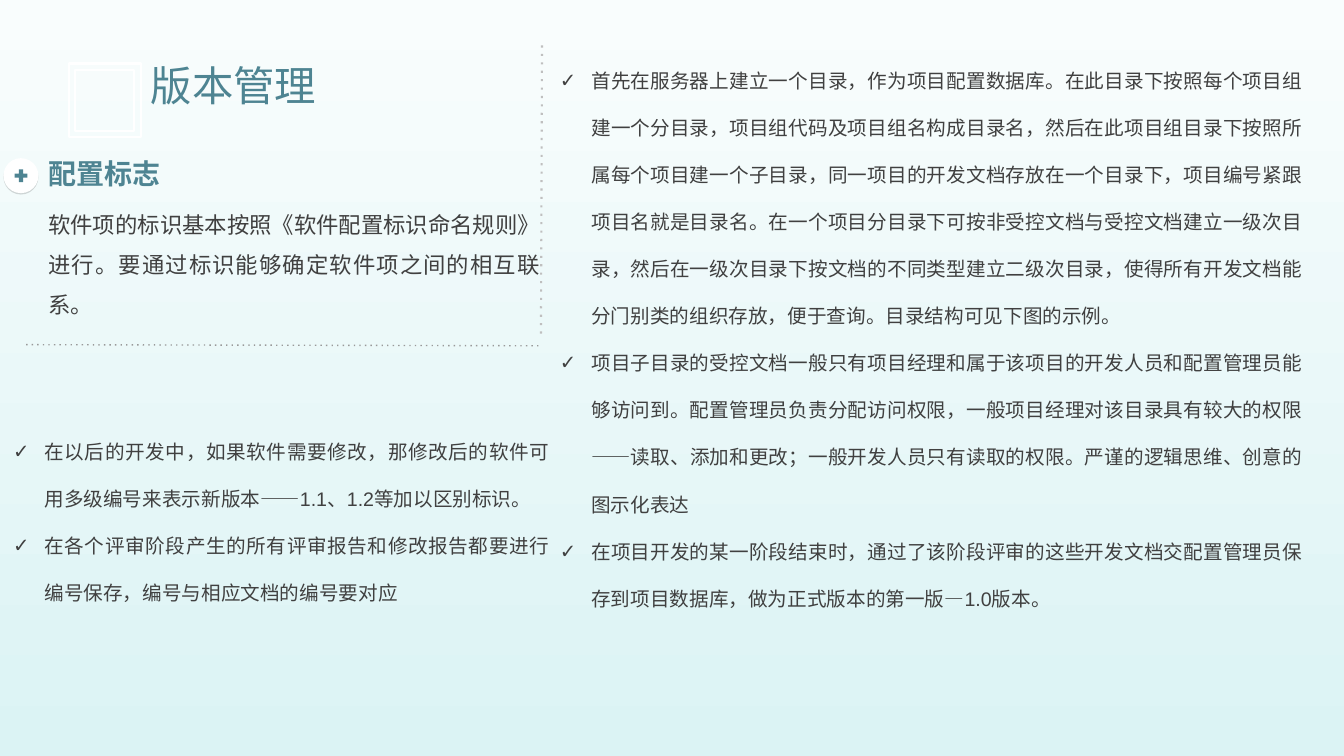
import pptx
import pptx.util
import pptx.dml.color
import pptx.enum.dml
import pptx.enum.shapes
import pptx.enum.text
import pptx.oxml
import pptx.oxml.ns

Pt = pptx.util.Pt
qn = pptx.oxml.ns.qn
SHAPE = pptx.enum.shapes.MSO_SHAPE
ALIGN = pptx.enum.text.PP_ALIGN
AUTO = pptx.enum.text.MSO_AUTO_SIZE

COLORS = {
    "sky_top": "F9FDFD",
    "sky_bottom": "DBF3F4",
    "teal": "4E8492",
    "text": "404040",
    "white": "FFFFFF",
    "rule": "999999",
    "divider": "BFBFBF",
    "shadow": "000000",
}
LATIN = "Arial"
CJK = "Noto Sans CJK SC"

STORAGE_RULES = [
    "首先在服务器上建立一个目录，作为项目配置数据库。在此目录下按照每个项目组建一个分目录，项目组代码及项目组名构成目录名，然后在此项目组目录下按照所属每个项目建一个子目录，同一项目的开发文档存放在一个目录下，项目编号紧跟项目名就是目录名。在一个项目分目录下可按非受控文档与受控文档建立一级次目录，然后在一级次目录下按文档的不同类型建立二级次目录，使得所有开发文档能分门别类的组织存放，便于查询。目录结构可见下图的示例。",
    "项目子目录的受控文档一般只有项目经理和属于该项目的开发人员和配置管理员能够访问到。配置管理员负责分配访问权限，一般项目经理对该目录具有较大的权限——读取、添加和更改；一般开发人员只有读取的权限。严谨的逻辑思维、创意的图示化表达",
    "在项目开发的某一阶段结束时，通过了该阶段评审的这些开发文档交配置管理员保存到项目数据库，做为正式版本的第一版—1.0版本。",
]
NUMBERING_RULES = [
    "在以后的开发中，如果软件需要修改，那修改后的软件可用多级编号来表示新版本——1.1、1.2等加以区别标识。",
    "在各个评审阶段产生的所有评审报告和修改报告都要进行编号保存，编号与相应文档的编号要对应",
]
IDENTIFICATION = "软件项的标识基本按照《软件配置标识命名规则》进行。要通过标识能够确定软件项之间的相互联系。"


class SlideBuilder:
    def __init__(self, prs):
        self.s = prs.slides.add_slide(prs.slide_layouts[5])

    def rgb(self, color):
        return pptx.dml.color.RGBColor.from_string(COLORS[color])

    def background(self, top, bottom):
        fill = self.s.background.fill
        fill.gradient()
        fill.gradient_angle = 270
        for stop, color, position in zip(fill.gradient_stops, (top, bottom), (0, 1)):
            stop.color.rgb = self.rgb(color)
            stop.position = position

    def run(self, p, text, size, color, bold=False, font=LATIN):
        r = p.add_run()
        r.text = text
        r.font.size = Pt(size)
        r.font.bold = bold
        r.font.name = font
        r.font.color.rgb = self.rgb(color)
        ea = pptx.oxml.parse_xml(
            f'<a:ea {pptx.oxml.ns.nsdecls("a")} typeface="{CJK}"/>')
        r.font._element.find(qn("a:latin")).addnext(ea)

    def title(self, text, x, y, w, h):
        sp = self.s.shapes.title
        sp.left, sp.top, sp.width, sp.height = Pt(x), Pt(y), Pt(w), Pt(h)
        tf = sp.text_frame
        tf.auto_size = AUTO.NONE
        tf.vertical_anchor = pptx.enum.text.MSO_ANCHOR.MIDDLE
        tf.margin_top = tf.margin_bottom = 0
        p = tf.paragraphs[0]
        p.alignment = ALIGN.LEFT
        p.line_spacing = 0.9
        self.run(p, text, 29.6, "teal")

    def text(self, paragraphs, x, y, w, h, size, color="text", spacing=1.0,
             align=ALIGN.JUSTIFY, checks=False, wrap=True, bold=False, font=LATIN):
        tf = self.s.shapes.add_textbox(Pt(x), Pt(y), Pt(w), Pt(h)).text_frame
        tf.word_wrap = wrap
        tf.auto_size = AUTO.SHAPE_TO_FIT_TEXT
        for i, content in enumerate(paragraphs):
            p = tf.add_paragraph() if i else tf.paragraphs[0]
            p.alignment = align
            p.line_spacing = spacing
            p._p.get_or_add_pPr().set("hangingPunct", "0")
            if checks:
                self.check_bullet(p, color)
            self.run(p, content, size, color, bold, font)

    def check_bullet(self, p, color):
        ns = pptx.oxml.ns.nsdecls("a")
        pPr = p._p.get_or_add_pPr()
        pPr.set("marL", str(Pt(22.5)))
        pPr.set("indent", str(-Pt(22.5)))
        for xml in (
            f'<a:buClr {ns}><a:srgbClr val="{COLORS[color]}"/></a:buClr>',
            f'<a:buFont {ns} typeface="{LATIN}"/>',
            f'<a:buChar {ns} char="✓"/>',
        ):
            pPr.append(pptx.oxml.parse_xml(xml))

    def shape(self, kind, x, y, w, h, color, parent=None):
        shapes = (parent or self.s).shapes
        sp = shapes.add_shape(kind, Pt(x), Pt(y), Pt(w), Pt(h))
        sp.shadow.inherit = False
        sp.fill.solid()
        sp.fill.fore_color.rgb = self.rgb(color)
        sp.line.fill.background()
        return sp

    def drop_shadow(self, sp):
        sp._element.spPr.find(qn("a:effectLst")).append(pptx.oxml.parse_xml(
            f'<a:outerShdw {pptx.oxml.ns.nsdecls("a")} blurRad="0" dist="{Pt(1)}" '
            f'dir="5400000"><a:srgbClr val="{COLORS["shadow"]}">'
            '<a:alpha val="15000"/></a:srgbClr></a:outerShdw>'))

    def plus_badge(self, x, y, size, plus_size):
        group = self.s.shapes.add_group_shape()
        disc = self.shape(SHAPE.OVAL, x, y, size, size, "white", group)
        self.drop_shadow(disc)
        inset = (size - plus_size) / 2
        self.shape(SHAPE.MATH_PLUS, x + inset, y + inset,
                   plus_size, plus_size, "teal", group)

    def double_frame(self, x, y, w, h, gap, color, width):
        builder = self.s.shapes.build_freeform(Pt(x), Pt(y))
        builder.add_line_segments(
            [(Pt(x + w), Pt(y)), (Pt(x + w), Pt(y + h)), (Pt(x), Pt(y + h))])
        left, top, right, bottom = x + gap, y + gap, x + w - gap, y + h - gap
        builder.move_to(Pt(left), Pt(top))
        builder.add_line_segments(
            [(Pt(left), Pt(bottom)), (Pt(right), Pt(bottom)), (Pt(right), Pt(top))])
        sp = builder.convert_to_shape()
        sp.shadow.inherit = False
        sp.fill.background()
        sp.line.color.rgb = self.rgb(color)
        sp.line.width = Pt(width)

    def dotted_line(self, x1, y1, x2, y2, color, width):
        line = self.s.shapes.add_connector(
            pptx.enum.shapes.MSO_CONNECTOR.STRAIGHT, Pt(x1), Pt(y1), Pt(x2), Pt(y2))
        line.line.color.rgb = self.rgb(color)
        line.line.width = Pt(width)
        line.line.dash_style = pptx.enum.dml.MSO_LINE.ROUND_DOT
        spPr = line._element.spPr
        spPr.find(qn("a:ln")).find(qn("a:prstDash")).set("val", "dot")
        spPr.append(pptx.oxml.parse_xml(
            f'<a:effectLst {pptx.oxml.ns.nsdecls("a")}/>'))


def main():
    prs = pptx.Presentation()
    prs.slide_width, prs.slide_height = Pt(960.5), Pt(540)
    b = SlideBuilder(prs)
    b.background("sky_top", "sky_bottom")
    b.double_frame(49, 45.4, 51.5, 52.5, 4.6, "white", 1.5)
    b.dotted_line(18.7, 246.2, 387.4, 247, "rule", 1)
    b.plus_badge(2.5, 113, 25, 12.5)
    b.dotted_line(386.6, 238.3, 387.4, 28, "divider", 1.5)
    b.title("版本管理", 100.5, 40.3, 387.4, 44.6)
    b.text(STORAGE_RULES, 393, 28.8, 545, 411, 14, spacing=2.0, checks=True)
    b.text(["配置标志"], 27.4, 108, 94.3, 31.7, 20, "teal",
           align=ALIGN.LEFT, wrap=False, bold=True, font=CJK)
    b.text([IDENTIFICATION], 27.4, 137.5, 365.8, 64.8, 16, spacing=1.5)
    b.text(NUMBERING_RULES, 2.2, 293.8, 397.4, 141.8, 14, spacing=2.0, checks=True)
    prs.save("out.pptx")


if __name__ == "__main__":
    main()
